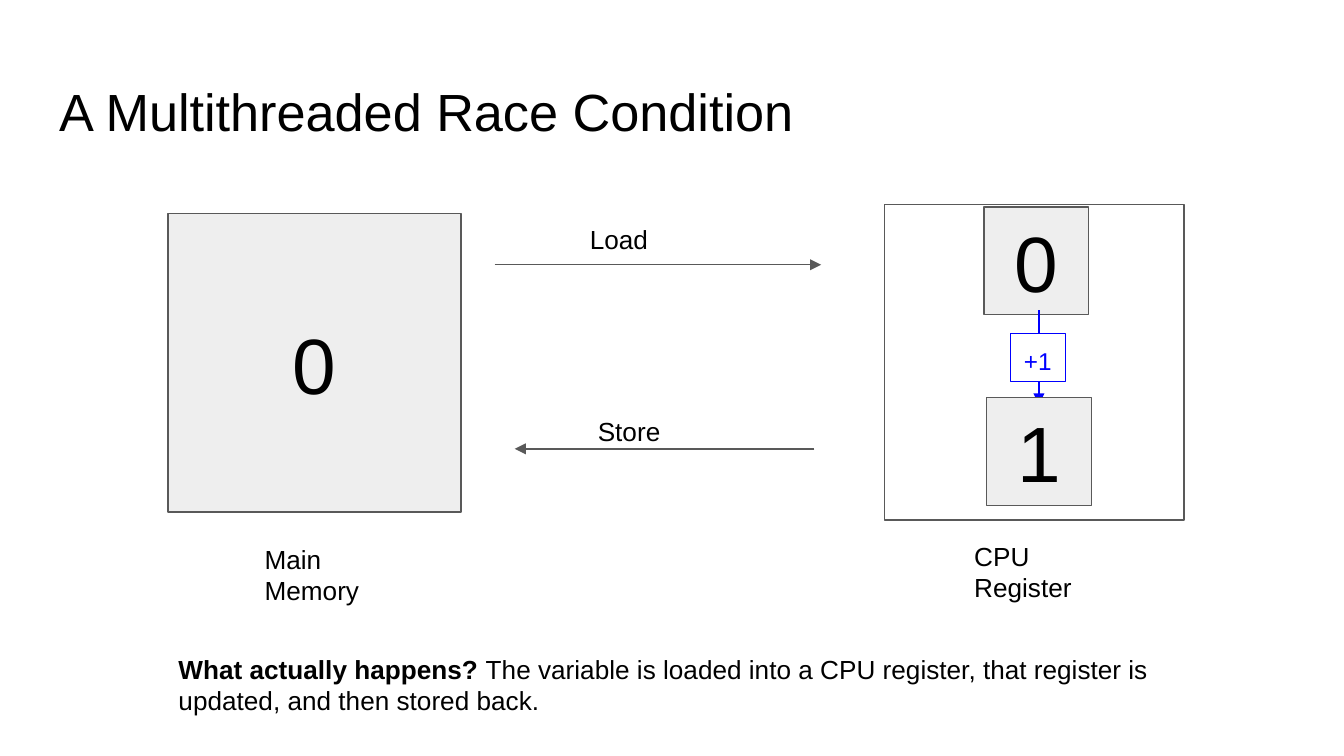
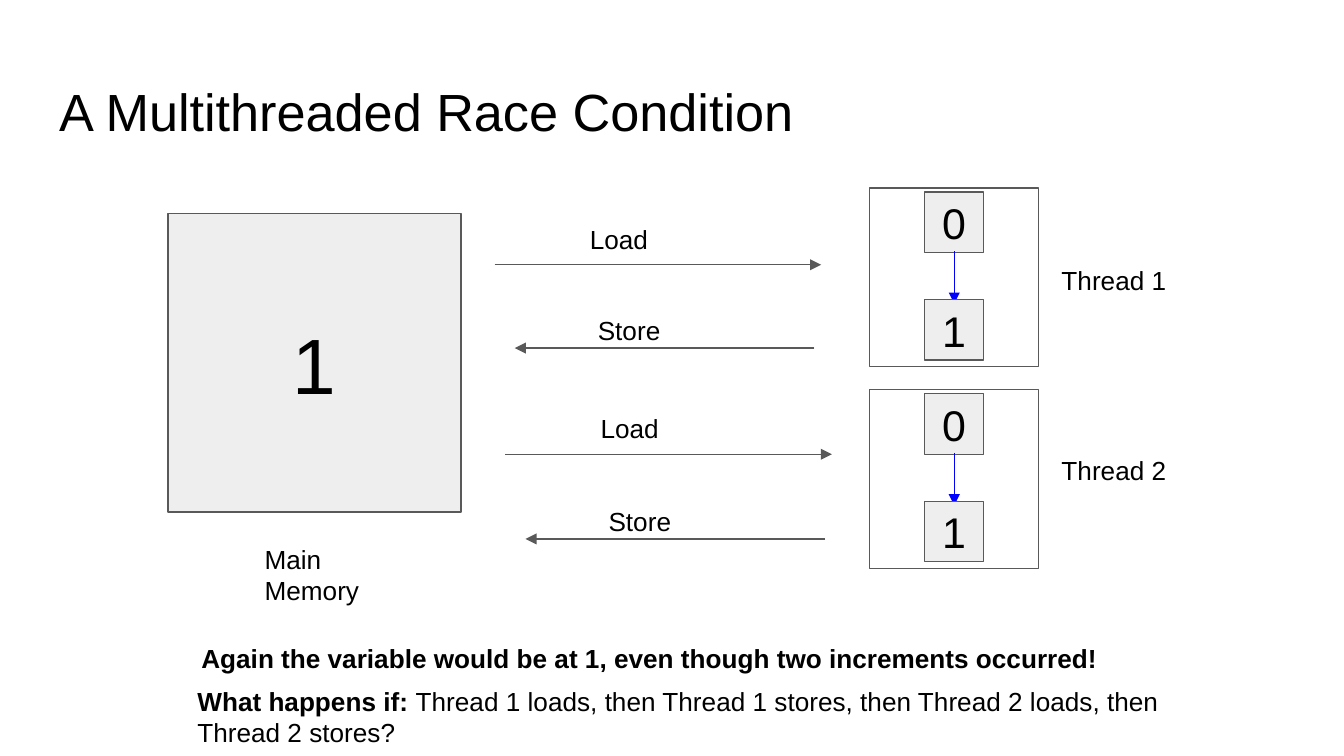
"""Build two slides that explain a multithreaded race condition."""
from lxml import etree
from pptx import Presentation
from pptx.dml.color import RGBColor
from pptx.enum import shapes, text
from pptx.oxml import ns
from pptx.util import Inches, Pt

FONT = "Arial"
BLACK = RGBColor(0x00, 0x00, 0x00)
WHITE = RGBColor(0xFF, 0xFF, 0xFF)
GREY = RGBColor(0xEE, 0xEE, 0xEE)
OUTLINE = RGBColor(0x59, 0x59, 0x59)
BLUE = RGBColor(0x00, 0x00, 0xFF)
TITLE = "A Multithreaded Race Condition"
TITLE_ONLY = 5


def place(*lengths):
    """Convert a row of inch values to lengths."""
    return [Inches(length) for length in lengths]


def write(frame, paragraphs, size, color=BLACK, align=text.PP_ALIGN.LEFT,
          anchor=text.MSO_ANCHOR.TOP):
    """Fill a text frame from paragraphs, each a list of (words, bold) pairs."""
    frame.word_wrap = True
    frame.auto_size = text.MSO_AUTO_SIZE.NONE
    frame.vertical_anchor = anchor
    frame.margin_left = frame.margin_right = Inches(0.1)
    frame.margin_top = frame.margin_bottom = Inches(0.1)
    for index, pieces in enumerate(paragraphs):
        paragraph = frame.add_paragraph() if index else frame.paragraphs[0]
        paragraph.alignment = align
        for words, bold in pieces:
            run = paragraph.add_run()
            run.text = words
            run.font.name = FONT
            run.font.size = Pt(size)
            run.font.bold = bold
            run.font.color.rgb = color


def add_titled_slide(deck):
    """Add a slide with the shared title."""
    slide = deck.slides.add_slide(deck.slide_layouts[TITLE_ONLY])
    title = slide.shapes.title
    title.left, title.top, title.width, title.height = place(0.34, 0.49, 9.32, 0.63)
    write(title.text_frame, [[(TITLE, False)]], 28)
    return slide


def add_label(slide, box, *lines):
    """Add plain 14 pt text, one paragraph per line."""
    label = slide.shapes.add_textbox(*place(*box))
    write(label.text_frame, [[(line, False)] for line in lines], 14)


def add_remark(slide, left, top, lead, rest=""):
    """Add a remark that opens in bold."""
    remark = slide.shapes.add_textbox(*place(left, top, 7.77, 0.44))
    pieces = [(lead, True)] + ([(rest, False)] if rest else [])
    write(remark.text_frame, [pieces], 14)


def add_box(slide, box, fill=None, line=OUTLINE):
    """Add an outlined rectangle, hollow unless a fill is given."""
    rect = slide.shapes.add_shape(shapes.MSO_SHAPE.RECTANGLE, *place(*box))
    rect.shadow.inherit = False
    rect.line.color.rgb = line
    rect.line.width = Pt(0.75)
    if fill is None:
        rect.fill.background()
    else:
        rect.fill.solid()
        rect.fill.fore_color.rgb = fill
    return rect


def add_value(slide, box, value, size=42):
    """Add a grey cell holding the variable's value."""
    cell = add_box(slide, box, GREY)
    write(cell.text_frame, [[(value, False)]], size,
          align=text.PP_ALIGN.CENTER, anchor=text.MSO_ANCHOR.MIDDLE)


def add_arrow(slide, start, end, color=OUTLINE):
    """Add a straight arrow pointing at its end."""
    arrow = slide.shapes.add_connector(
        shapes.MSO_CONNECTOR.STRAIGHT, *place(*start, *end))
    arrow.line.color.rgb = color
    arrow.line.width = Pt(0.75)
    etree.SubElement(arrow.line._get_or_add_ln(), ns.qn("a:tailEnd"), type="triangle")
    etree.SubElement(arrow._element.spPr, ns.qn("a:effectLst"))


def add_main_memory(slide, value):
    """Add the main memory block with its caption."""
    add_value(slide, (1.25, 1.59, 2.18, 2.22), value)
    add_label(slide, (1.87, 3.94, 0.95, 0.63), "Main", "Memory")


def add_exchange(slide, left, load_y, store_y):
    """Add a load arrow and the store arrow that answers it."""
    add_arrow(slide, (left, load_y), (left + 2.43, load_y))
    add_label(slide, (left + 0.61, load_y - 0.4, 1.49, 0.18), "Load")
    add_arrow(slide, (left + 2.38, store_y), (left + 0.15, store_y))
    add_label(slide, (left + 0.67, store_y - 0.34, 0.94, 0.18), "Store")


def add_thread(slide, top, caption, caption_top):
    """Add one thread's register going from 0 to 1."""
    add_value(slide, (6.88, top + 0.03, 0.44, 0.45), "0", 23)
    add_arrow(slide, (7.1, top + 0.47), (7.1, top + 0.86), BLUE)
    add_value(slide, (6.88, top + 0.83, 0.44, 0.45), "1", 23)
    add_box(slide, (6.47, top, 1.26, 1.33))
    add_label(slide, (7.8, caption_top, 1.34, 0.39), caption)


def add_cpu_register(slide):
    """Add the CPU register with its increment step."""
    add_value(slide, (7.32, 1.54, 0.78, 0.8), "0")
    add_arrow(slide, (7.73, 2.31), (7.73, 3.01), BLUE)
    increment = add_box(slide, (7.52, 2.48, 0.41, 0.36), WHITE, BLUE)
    write(increment.text_frame, [[("+1", False)]], 13, BLUE)
    add_value(slide, (7.34, 2.96, 0.78, 0.8), "1")
    add_box(slide, (6.58, 1.52, 2.23, 2.35))
    add_label(slide, (7.15, 3.92, 0.95, 0.63), "CPU Register")


def build_increment_slide(deck):
    """Show what one increment does."""
    slide = add_titled_slide(deck)
    add_main_memory(slide, "0")
    add_exchange(slide, 3.68, 1.97, 3.34)
    add_cpu_register(slide)
    add_remark(slide, 1.23, 4.76, "What actually happens? ",
               "The variable is loaded into a CPU register, that register is "
               "updated, and then stored back.")


def build_threads_slide(deck):
    """Show two threads losing an increment."""
    slide = add_titled_slide(deck)
    add_main_memory(slide, "1")
    add_exchange(slide, 3.68, 1.97, 2.59)
    add_exchange(slide, 3.76, 3.38, 4.01)
    add_thread(slide, 1.4, "Thread 1", 1.87)
    add_thread(slide, 2.9, "Thread 2", 3.28)
    add_remark(slide, 1.4, 4.68,
               "Again the variable would be at 1, even though two increments occurred!")
    add_remark(slide, 1.37, 5, "What happens if: ",
               "Thread 1 loads, then Thread 1 stores, then Thread 2 loads, "
               "then Thread 2 stores?")


def main():
    """Build and save the deck."""
    deck = Presentation()
    deck.slide_width = Inches(10)
    deck.slide_height = Inches(10 * 9 / 16)
    build_increment_slide(deck)
    build_threads_slide(deck)
    deck.save("out.pptx")


if __name__ == "__main__":
    main()
